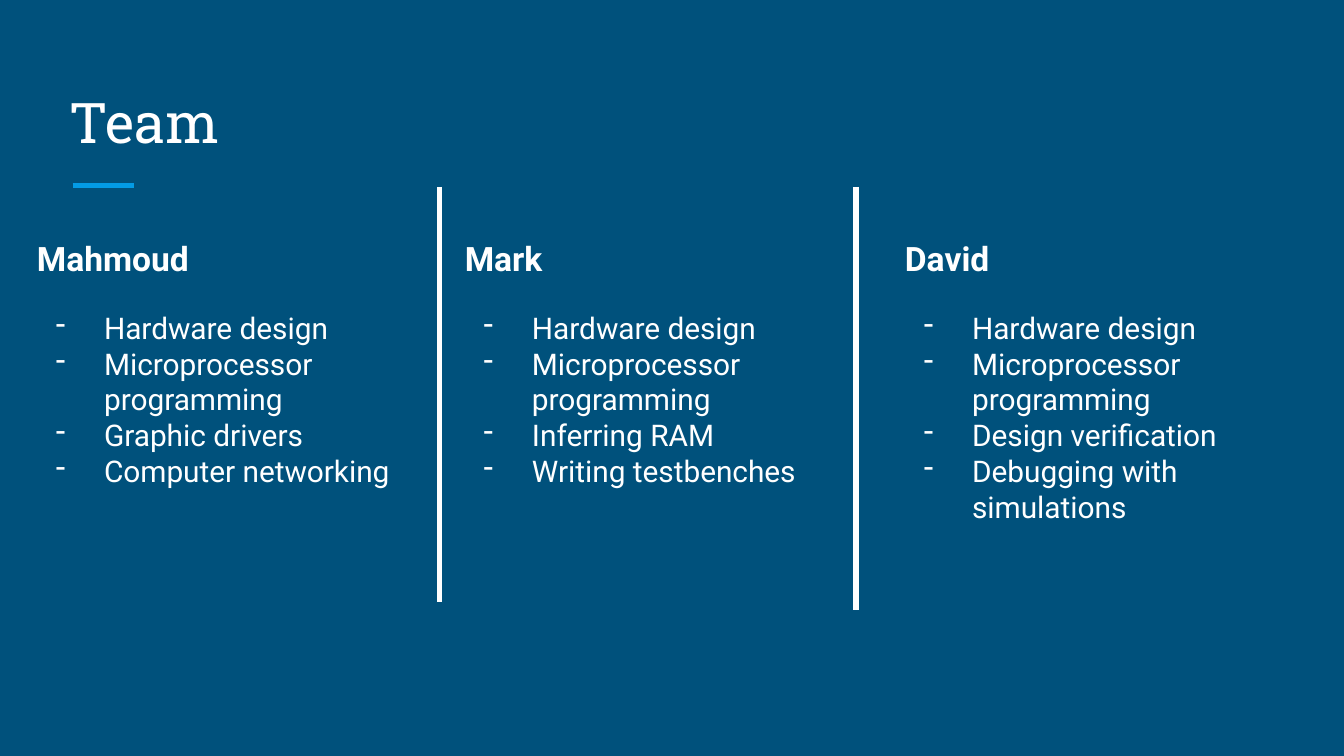
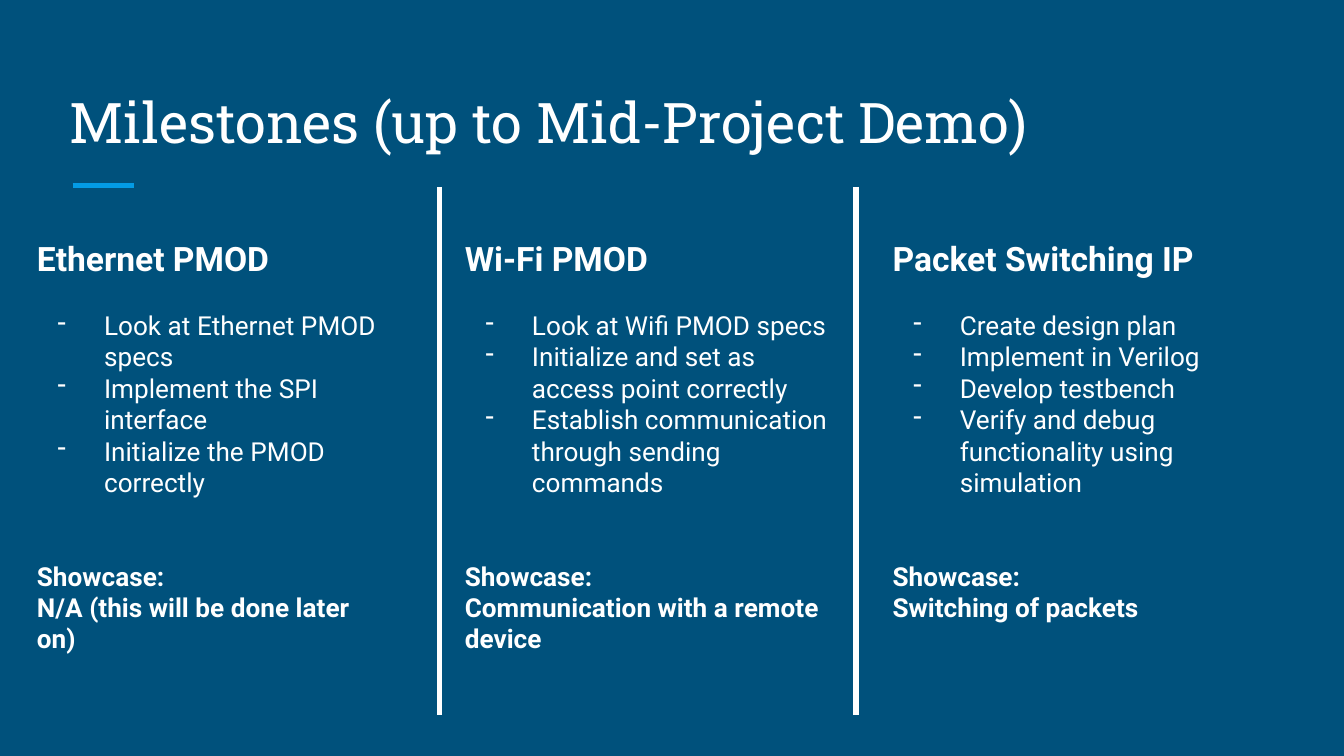
"""Build the team and milestones slides, each with three ruled columns."""
import dataclasses

import lxml.etree
import pptx
import pptx.dml.color
import pptx.enum.shapes
import pptx.enum.text
import pptx.oxml.ns
import pptx.util

Pt = pptx.util.Pt
Color = pptx.dml.color.RGBColor
qn = pptx.oxml.ns.qn


@dataclasses.dataclass(frozen=True)
class Theme:
    """Hold the shared colours, fonts and sizes in points."""
    background: Color = Color.from_string("00517C")
    accent: Color = Color.from_string("039BE5")
    text: Color = Color.from_string("FFFFFF")
    title_font: str = "Roboto Slab"
    body_font: str = "Roboto"
    title_size: int = 30
    heading_size: int = 18
    body_size: int = 14
    blank_line: float = 16.7
    inset: float = 7.2
    indent: int = 36
    line_width: int = 3


@dataclasses.dataclass(frozen=True)
class Column:
    """Hold one column's wording."""
    heading: str
    items: tuple
    showcase: str = ""


THEME = Theme()
TITLE_BOX = (30.24, 36, 658.8, 54)
ACCENT_BOX = (38.88, 99.36, 33.12, 0)
COLUMN_TOP = 120.24
COLUMN_HEIGHT = 236.16
COLUMN_WIDTHS = (205.92, 212.4, 212.4)
DIVIDER_LEFTS = (235.44, 458.64)
DIVIDER_TOP = 100.08

TEAM = (
    Column("Mahmoud", ("Hardware design", "Microprocessor programming",
                       "Graphic drivers", "Computer networking")),
    Column("Mark", ("Hardware design", "Microprocessor programming",
                    "Inferring RAM", "Writing testbenches")),
    Column("David", ("Hardware design", "Microprocessor programming",
                     "Design verification", "Debugging with simulations")),
)
MILESTONES = (
    Column("Ethernet PMOD",
           ("Look at Ethernet PMOD specs", "Implement the SPI interface",
            "Initialize the PMOD correctly"),
           "N/A (this will be done later on)"),
    Column("Wi-Fi PMOD",
           ("Look at Wifi PMOD specs",
            "Initialize and set as access point correctly",
            "Establish communication through sending commands"),
           "Communication with a remote device"),
    Column("Packet Switching IP",
           ("Create design plan", "Implement in Verilog", "Develop testbench",
            "Verify and debug functionality using simulation"),
           "Switching of packets"),
)


def add_line(slide, box, color):
    """Draw a straight line across the box."""
    left, top, width, height = box
    line = slide.shapes.add_connector(
        pptx.enum.shapes.MSO_CONNECTOR.STRAIGHT,
        Pt(left), Pt(top), Pt(left + width), Pt(top + height))
    line.line.color.rgb = color
    line.line.width = Pt(THEME.line_width)
    lxml.etree.SubElement(line._element.spPr, qn("a:effectLst"))


def add_text_frame(slide, box, anchor=pptx.enum.text.MSO_ANCHOR.TOP):
    """Add a wrapping text box and return its frame."""
    frame = slide.shapes.add_textbox(*map(Pt, box)).text_frame
    frame.word_wrap = True
    frame.vertical_anchor = anchor
    frame.margin_left = frame.margin_right = Pt(THEME.inset)
    frame.margin_top = frame.margin_bottom = Pt(THEME.inset)
    return frame


def write(paragraph, text, size, bold=False, font=THEME.body_font):
    """Fill a paragraph with text in the theme colour."""
    paragraph.text = text
    paragraph.font.name = font
    paragraph.font.size = Pt(size)
    paragraph.font.bold = bold
    paragraph.font.color.rgb = THEME.text


def add_dash(paragraph, hanging):
    """Give a paragraph a hanging dash bullet."""
    properties = paragraph._p.get_or_add_pPr()
    properties.set("marL", str(Pt(THEME.indent)))
    properties.set("indent", str(-Pt(hanging)))
    bullet = lxml.etree.Element(qn("a:buChar"), char="-")
    properties.insert_element_before(bullet, "a:tabLst", "a:defRPr", "a:extLst")


def add_title(slide, box, title):
    """Place the slide title at the bottom of the box."""
    frame = add_text_frame(slide, box, pptx.enum.text.MSO_ANCHOR.BOTTOM)
    write(frame.paragraphs[0], title, THEME.title_size, font=THEME.title_font)


def add_column(slide, box, column, item_size, hanging):
    """Place a heading, dashed items and any showcase in the box."""
    frame = add_text_frame(slide, box)
    heading = frame.paragraphs[0]
    write(heading, column.heading, THEME.heading_size, bold=True)
    heading.space_after = Pt(THEME.blank_line)
    for item in column.items:
        paragraph = frame.add_paragraph()
        write(paragraph, item, item_size)
        add_dash(paragraph, hanging)
    if column.showcase:
        label = frame.add_paragraph()
        write(label, "Showcase:", THEME.body_size, bold=True)
        label.space_before = Pt(2 * THEME.blank_line)
        write(frame.add_paragraph(), column.showcase, THEME.body_size, bold=True)


def add_column_slide(presentation, title, columns, lefts, divider_bottoms,
                     item_size, hanging):
    """Add a titled slide with three columns and two dividers."""
    slide = presentation.slides.add_slide(presentation.slide_layouts[6])
    add_line(slide, ACCENT_BOX, THEME.accent)
    add_title(slide, TITLE_BOX, title)
    for column, left, width in zip(columns, lefts, COLUMN_WIDTHS):
        box = (left, COLUMN_TOP, width, COLUMN_HEIGHT)
        add_column(slide, box, column, item_size, hanging)
    for left, bottom in zip(DIVIDER_LEFTS, divider_bottoms):
        add_line(slide, (left, DIVIDER_TOP, 0, bottom - DIVIDER_TOP), THEME.text)


def main():
    """Build and save the presentation."""
    presentation = pptx.Presentation()
    presentation.slide_width, presentation.slide_height = Pt(720), Pt(405)
    background = presentation.slide_master.background.fill
    background.solid()
    background.fore_color.rgb = THEME.background
    add_column_slide(presentation, "Team", TEAM, (12.7, 241.92, 477.7),
                     (322.56, 326.88), item_size=16, hanging=26)
    add_column_slide(presentation, "Milestones (up to Mid-Project Demo)",
                     MILESTONES, (12.7, 241.92, 471.1), (383.04, 383.04),
                     item_size=THEME.body_size, hanging=25)
    presentation.save("out.pptx")


if __name__ == "__main__":
    main()
